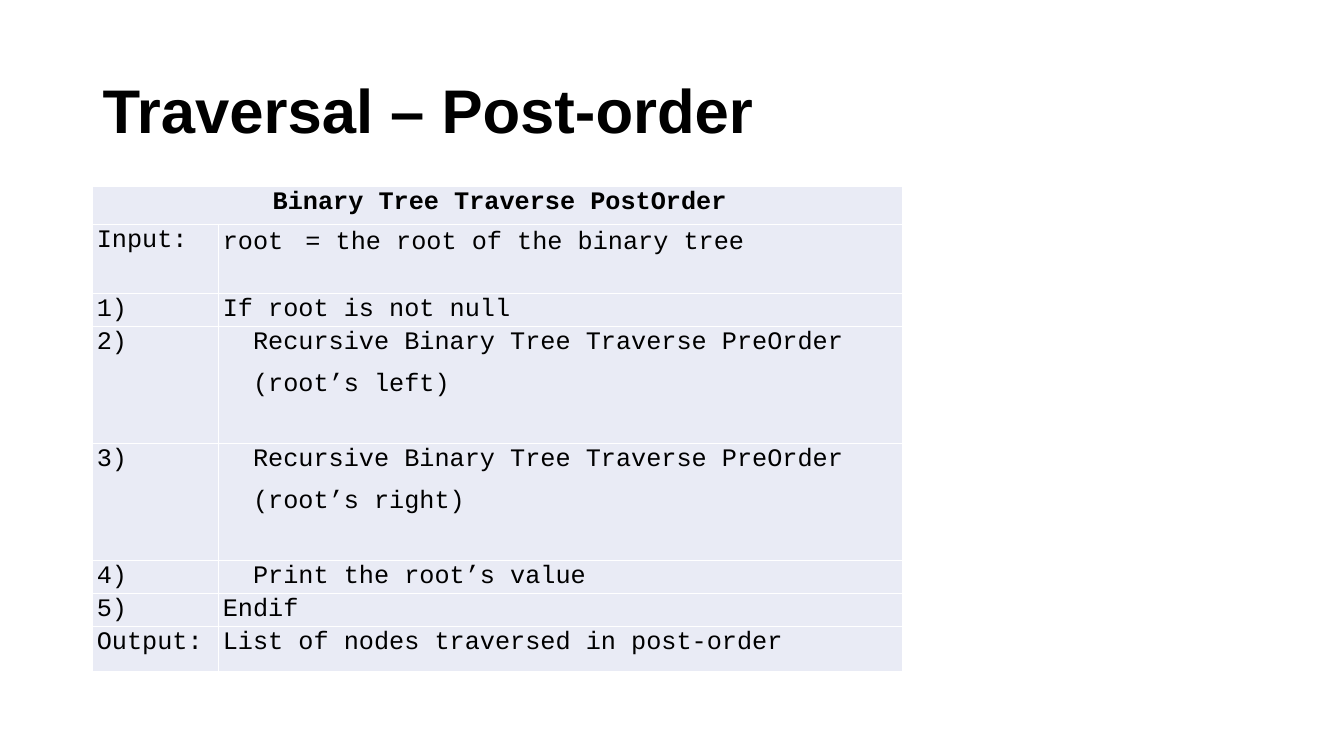
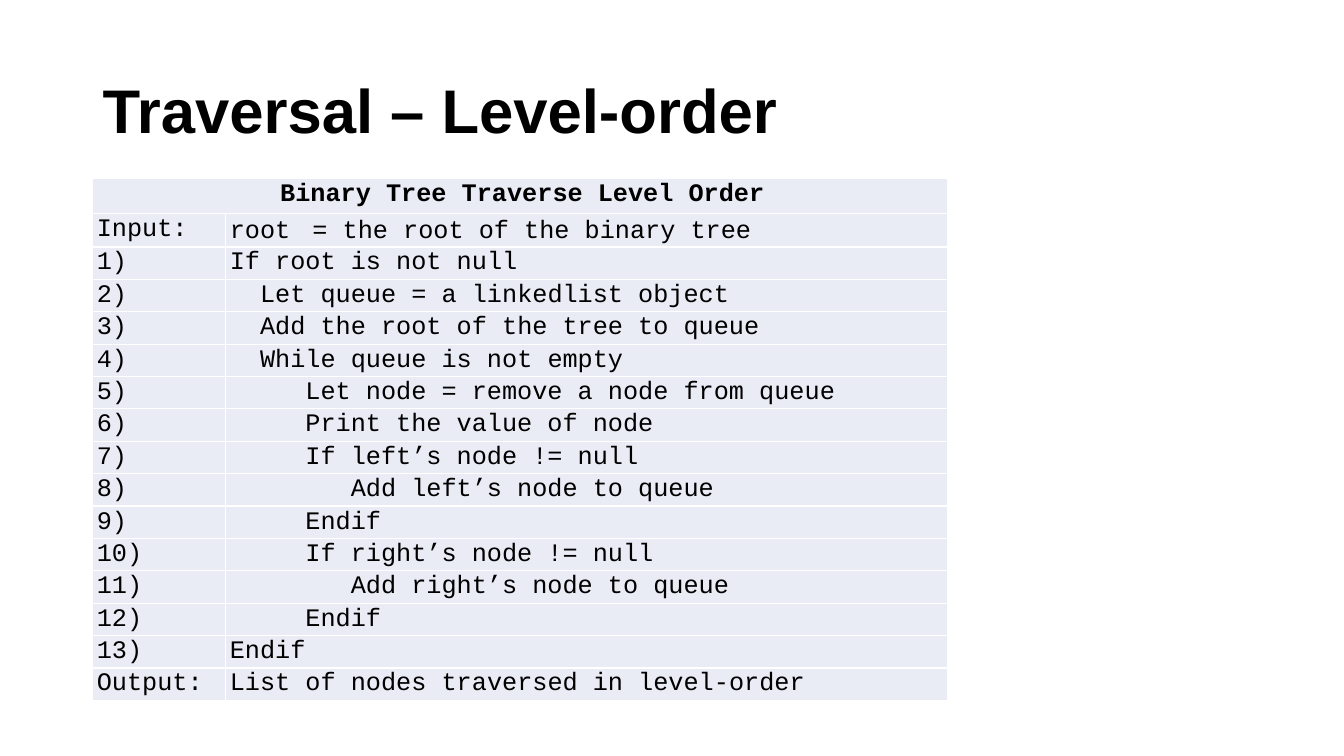
import pptx
import pptx.dml.color
import pptx.enum.text
import pptx.oxml
import pptx.oxml.ns
import pptx.util

Inches = pptx.util.Inches
Pt = pptx.util.Pt
RGBColor = pptx.dml.color.RGBColor
PP_ALIGN = pptx.enum.text.PP_ALIGN
MSO_ANCHOR = pptx.enum.text.MSO_ANCHOR

BLACK = RGBColor(0x00, 0x00, 0x00)
WHITE = RGBColor(0xFF, 0xFF, 0xFF)
CELL_FILL = RGBColor(0xE9, 0xEB, 0xF5)

TITLE_BOX = (0.92, 0.4, 11.5, 1.45)
TITLE_FONT = {"name": "Arial", "size": Pt(44), "bold": True}
CODE_FONT = {"name": "Courier New", "size": Pt(18), "bold": False}
HEADING_FONT = {**CODE_FONT, "bold": True}
GAP_FONT = {**CODE_FONT, "name": "Arial"}
CODE_PARAGRAPH = {"line_spacing": 1.07, "space_after": Pt(8)}
ZERO_INSETS = {"margin_left": 0, "margin_right": 0, "margin_top": 0, "margin_bottom": 0}

BASE_INDENT = 0.04
CHAR_WIDTH = 0.15  # one Courier New character at 18 pt, in inches

ROOT_INPUT = [(0, "root  = the root of the binary tree")]


def apply(target, values):
    for name, value in values.items():
        setattr(target, name, value)


def add_run(paragraph, text, font):
    run = paragraph.add_run()
    run.text = text
    apply(run.font, font)
    run.font.color.rgb = BLACK


def add_title(slide, text, box):
    frame = slide.shapes.add_textbox(*map(Inches, box)).text_frame
    apply(frame, {"word_wrap": True, "vertical_anchor": MSO_ANCHOR.MIDDLE})
    paragraph = frame.paragraphs[0]
    paragraph.line_spacing = 0.9
    add_run(paragraph, text, TITLE_FONT)


def style_cell(cell):
    """Remove the insets, draw thin white borders and fill the cell."""
    apply(cell, ZERO_INSETS)
    properties = cell._tc.get_or_add_tcPr()
    for side in ("lnL", "lnR", "lnT", "lnB"):
        properties.append(pptx.oxml.parse_xml(
            f'<a:{side} {pptx.oxml.ns.nsdecls("a")} w="{Pt(1)}"><a:solidFill>'
            f'<a:srgbClr val="{WHITE}"/></a:solidFill></a:{side}>'))
    cell.fill.solid()
    cell.fill.fore_color.rgb = CELL_FILL


def write_code(cell, lines, font=CODE_FONT, align=PP_ALIGN.LEFT):
    """Write (indent in characters, text) lines, one paragraph each."""
    frame = cell.text_frame
    for index, (indent, text) in enumerate(lines):
        paragraph = frame.add_paragraph() if index else frame.paragraphs[0]
        apply(paragraph, {**CODE_PARAGRAPH, "alignment": align})
        properties = paragraph._p.get_or_add_pPr()
        properties.set("marL", str(Inches(BASE_INDENT + indent * CHAR_WIDTH)))
        properties.set("indent", "0")
        before, gap, after = text.partition("  ")
        add_run(paragraph, before, font)
        if gap:
            add_run(paragraph, " ", GAP_FONT)
            add_run(paragraph, " " + after, font)


def add_algorithm(slide, box, label_width, row_heights, heading, steps, output):
    """Place a pseudocode table: heading, input, numbered steps and output."""
    rows = [("Input:", ROOT_INPUT)]
    rows += [(f"{number})", lines) for number, lines in enumerate(steps, 1)]
    rows.append(("Output:", [(0, output)]))

    table = slide.shapes.add_table(len(rows) + 1, 2, *map(Inches, box)).table
    apply(table, {"first_row": False, "horz_banding": False})
    for column, width in zip(table.columns, (label_width, box[2] - label_width)):
        column.width = Inches(width)
    for row, height in zip(table.rows, row_heights):
        row.height = Inches(height)
    for cell in table.iter_cells():
        style_cell(cell)

    table.cell(0, 0).merge(table.cell(0, 1))
    write_code(table.cell(0, 0), [(0, heading)], HEADING_FONT, PP_ALIGN.CENTER)
    for index, (label, lines) in enumerate(rows, 1):
        write_code(table.cell(index, 0), [(0, label)])
        write_code(table.cell(index, 1), lines)


def recursive_call(side):
    return [(2, "Recursive Binary Tree Traverse PreOrder"), (2, f"(root’s {side})")]


def queue_child(side):
    return [
        [(5, f"If {side}’s node != null")],
        [(8, f"Add {side}’s node to queue")],
        [(5, "Endif")],
    ]


POST_ORDER = {
    "box": (0.92, 1.85, 8.03, 4.82),
    "label_width": 1.25,
    "row_heights": [0.38, 0.68, 0.33, 1.16, 1.16, 0.33, 0.33, 0.44],
    "heading": "Binary Tree Traverse PostOrder",
    "steps": [
        [(0, "If root is not null")],
        recursive_call("left"),
        recursive_call("right"),
        [(2, "Print the root’s value")],
        [(0, "Endif")],
    ],
    "output": "List of nodes traversed in post-order",
}

LEVEL_ORDER = {
    "box": (0.92, 1.77, 8.48, 4.92),
    "label_width": 1.32,
    "row_heights": [0.35, 0.33] + [0.3] * 14,
    "heading": "Binary Tree Traverse Level Order",
    "steps": [
        [(0, "If root is not null")],
        [(2, "Let queue = a linkedlist object")],
        [(2, "Add the root of the tree to queue")],
        [(2, "While queue is not empty")],
        [(5, "Let node = remove a node from queue")],
        [(5, "Print the value of node")],
        *queue_child("left"),
        *queue_child("right"),
        [(0, "Endif")],
    ],
    "output": "List of nodes traversed in level-order",
}


def add_traversal_slide(deck, order, algorithm):
    slide = deck.slides.add_slide(deck.slide_layouts[6])
    add_title(slide, f"Traversal – {order}", TITLE_BOX)
    add_algorithm(slide, **algorithm)


def main():
    deck = pptx.Presentation()
    apply(deck, {"slide_width": Inches(13.33), "slide_height": Inches(7.5)})
    add_traversal_slide(deck, "Post-order", POST_ORDER)
    add_traversal_slide(deck, "Level-order", LEVEL_ORDER)
    deck.save("out.pptx")


if __name__ == "__main__":
    main()
